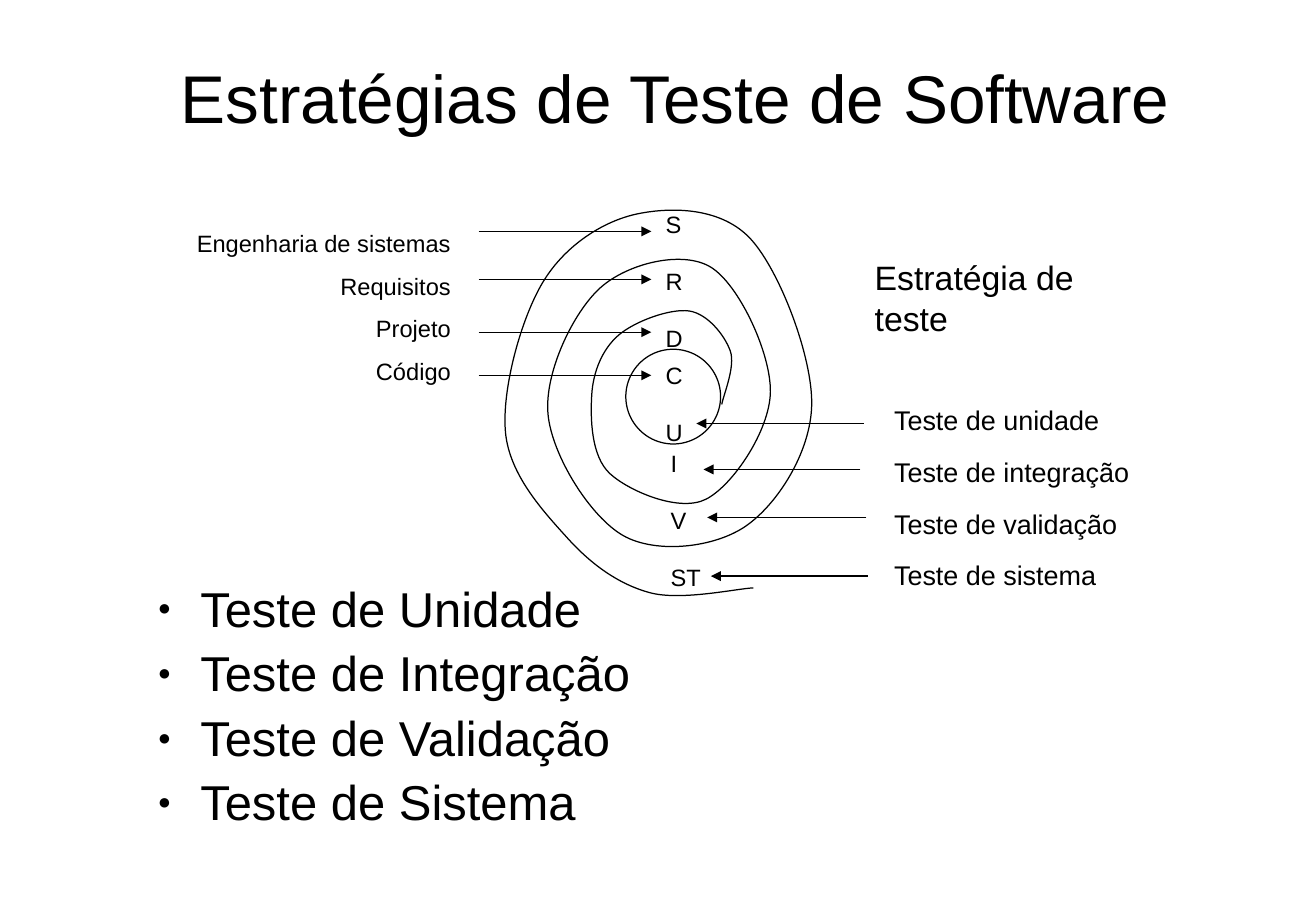
from lxml import etree
from pptx import Presentation
from pptx.dml.color import RGBColor
from pptx.enum.shapes import MSO_CONNECTOR, MSO_SHAPE
from pptx.enum.text import MSO_ANCHOR, PP_ALIGN
from pptx.oxml.ns import qn
from pptx.util import Inches, Pt

STRAIGHT, OVAL = MSO_CONNECTOR.STRAIGHT, MSO_SHAPE.OVAL
LEFT, CENTER, RIGHT = PP_ALIGN.LEFT, PP_ALIGN.CENTER, PP_ALIGN.RIGHT
TOP, MIDDLE = MSO_ANCHOR.TOP, MSO_ANCHOR.MIDDLE

COLORS = {"ink": "000000", "paper": "FFFFFF"}
FONT = "Arial"
CELLS_PER_INCH = 10
LETTER_GAP = 17

LETTERS = [
    ((53.8, 29.2, 3.4, 8), ["C", "U"]),
    ((53.8, 16.75, 3.4, 12.7), ["S", "R", "D"]),
    ((54.2, 36.45, 4.9, 12.7), ["I", "V", "ST"]),
]
DEVELOPMENT = ["Engenharia de sistemas", "Requisitos", "Projeto", "Código"]
TESTS = ["Teste de unidade", "Teste de integração", "Teste de validação", "Teste de sistema"]
TOPICS = ["Teste de Unidade", "Teste de Integração", "Teste de Validação", "Teste de Sistema"]
LEFT_ARROW_ROWS = [19.05, 23, 27.35, 30.9]
RIGHT_ARROWS = [(71.1, 57.3, 34.87), (70.8, 57.9, 38.65), (71.3, 58.2, 42.6), (71.4, 58.5, 47.43)]
SPIRAL = [
    (59.4, 33.3), (60.1, 28.9), (56.7, 25.6), (50.9, 27.6), (48.7, 32.5), (50.2, 39),
    (58.1, 41.1), (63.4, 32.3), (58.5, 22), (49.4, 23.7), (45.1, 34.1), (51.3, 44.1),
    (61.4, 43.3), (66.8, 33.3), (61.8, 19.7), (52.5, 17.6), (44.7, 23.2), (41.6, 35.6),
    (46.7, 44.3), (53.5, 48.8), (62, 48.4),
]


def cells(count):
    """Convert grid cells to a length."""
    return Inches(count / CELLS_PER_INCH)


def color(name):
    """Look up a named colour."""
    return RGBColor.from_string(COLORS[name])


def add_text(s, box, lines, size, align=LEFT, anchor=TOP, spacing=1.0, before=0):
    """Add a text box with one paragraph per line and return its paragraphs."""
    tf = s.shapes.add_textbox(*map(cells, box)).text_frame
    tf.word_wrap = True
    tf.vertical_anchor = anchor
    tf.text = "\n".join(lines)
    for i, p in enumerate(tf.paragraphs):
        p.alignment = align
        p.line_spacing = spacing
        p.space_before = Pt(before if i else 0)
        font = p.runs[0].font
        font.name, font.size = FONT, Pt(size)
        font.color.rgb = color("ink")
    return tf.paragraphs


def add_bullet(p):
    """Give a paragraph a small round bullet and a hanging indent."""
    pPr = p._p.get_or_add_pPr()
    pPr.set("marL", str(Inches(0.47)))
    pPr.set("indent", str(Inches(-0.35)))
    etree.SubElement(pPr, qn("a:buSzPct")).set("val", "45000")
    etree.SubElement(pPr, qn("a:buFont")).set("typeface", FONT)
    etree.SubElement(pPr, qn("a:buChar")).set("char", "●")


def set_outline(shape):
    """Apply the thin black line."""
    shape.line.color.rgb = color("ink")
    shape.line.width = Pt(0.75)


def add_arrow(s, start, end, row):
    """Add a horizontal arrow along a grid row."""
    arrow = s.shapes.add_connector(STRAIGHT, cells(start), cells(row), cells(end), cells(row))
    set_outline(arrow)
    etree.SubElement(arrow.line._get_or_add_ln(), qn("a:tailEnd")).set("type", "triangle")
    etree.SubElement(arrow._element.spPr, qn("a:effectLst"))


def smooth(shape):
    """Turn the segments of a freeform into Catmull-Rom Bézier curves."""
    outline = shape._element.find(".//" + qn("a:path"))
    points = [(int(pt.get("x")), int(pt.get("y"))) for pt in outline.iter(qn("a:pt"))]
    padded = [points[0], *points, points[-1]]
    for segment in outline.findall(qn("a:lnTo")):
        outline.remove(segment)
    for a, b, c, d in zip(padded, padded[1:], padded[2:], padded[3:]):
        leave = [q + (r - p) / 6 for p, q, r in zip(a, b, c)]
        arrive = [q - (r - p) / 6 for p, q, r in zip(b, c, d)]
        curve = etree.SubElement(outline, qn("a:cubicBezTo"))
        for x, y in (leave, arrive, c):
            pt = etree.SubElement(curve, qn("a:pt"))
            pt.set("x", str(round(x)))
            pt.set("y", str(round(y)))


def add_curve(s, points):
    """Draw an open smooth curve through the points."""
    knots = [(cells(x), cells(y)) for x, y in points]
    builder = s.shapes.build_freeform(*knots[0])
    builder.add_line_segments(knots[1:], close=False)
    shape = builder.convert_to_shape()
    smooth(shape)
    shape.shadow.inherit = False
    shape.fill.background()
    set_outline(shape)


def add_circle(s, left, top, size):
    """Add the white core of the spiral."""
    circle = s.shapes.add_shape(OVAL, *map(cells, (left, top, size, size)))
    circle.shadow.inherit = False
    circle.fill.solid()
    circle.fill.fore_color.rgb = color("paper")
    set_outline(circle)


def main():
    """Build the slide on software test strategies."""
    prs = Presentation()
    prs.slide_width, prs.slide_height = Inches(10.83), Inches(7.5)
    s = prs.slides.add_slide(prs.slide_layouts[6])

    add_text(s, (7.25, 2.55, 96.6, 10.8), ["Estratégias de Teste de Software"], 40, CENTER, MIDDLE)
    for p in add_text(s, (10.8, 47.65, 92.1, 21.5), TOPICS, 29, spacing=0.9, before=7):
        add_bullet(p)

    add_circle(s, 51.5, 28.75, 7.8)
    for box, letters in LETTERS:
        add_text(s, box, letters, 14, before=LETTER_GAP)
    add_curve(s, SPIRAL)

    add_text(s, (72.6, 31.13, 29.7, 18), TESTS, 16, spacing=1.6)
    add_text(s, (15.1, 17.2, 23, 15), DEVELOPMENT, 14, RIGHT, spacing=1.5)
    for row in LEFT_ARROW_ROWS:
        add_arrow(s, 39.4, 53.6, row)
    for start, end, row in RIGHT_ARROWS:
        add_arrow(s, start, end, row)
    add_text(s, (71, 20.65, 25, 4.4), ["Estratégia de teste"], 20)

    prs.save("out.pptx")


if __name__ == "__main__":
    main()
